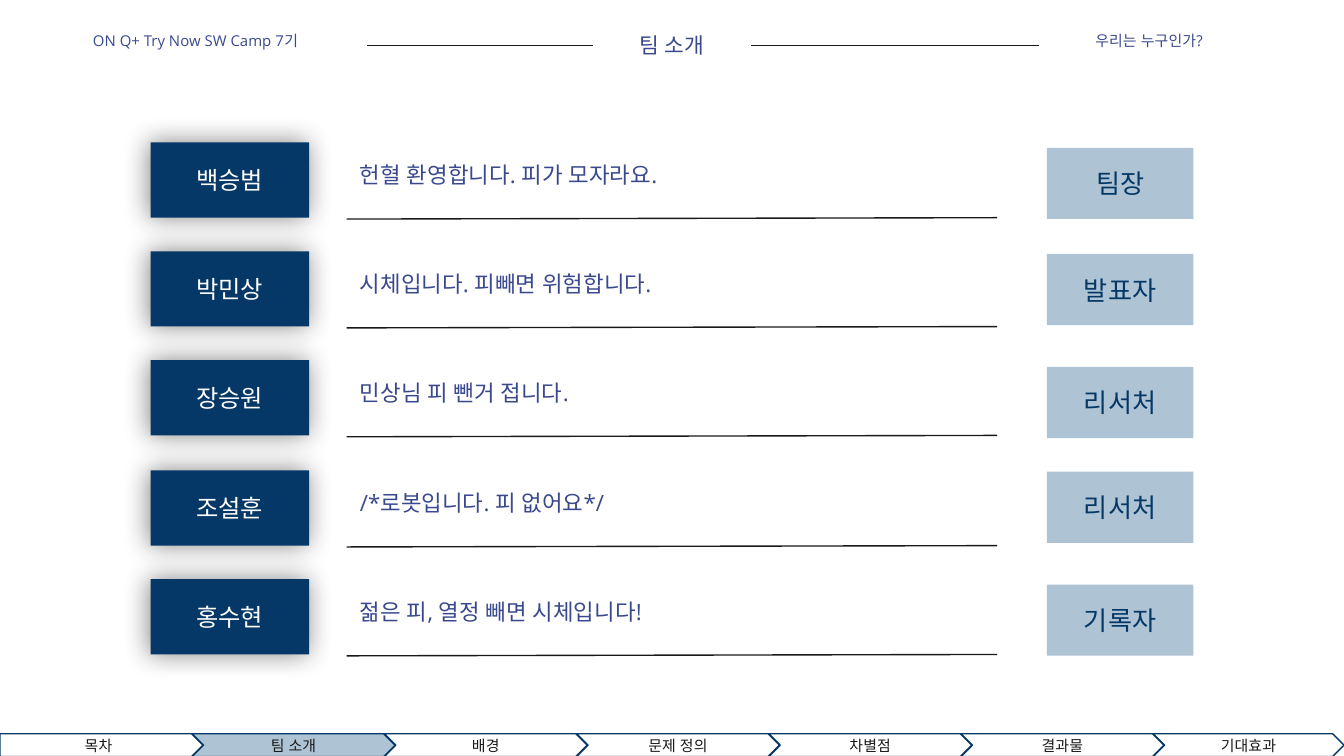
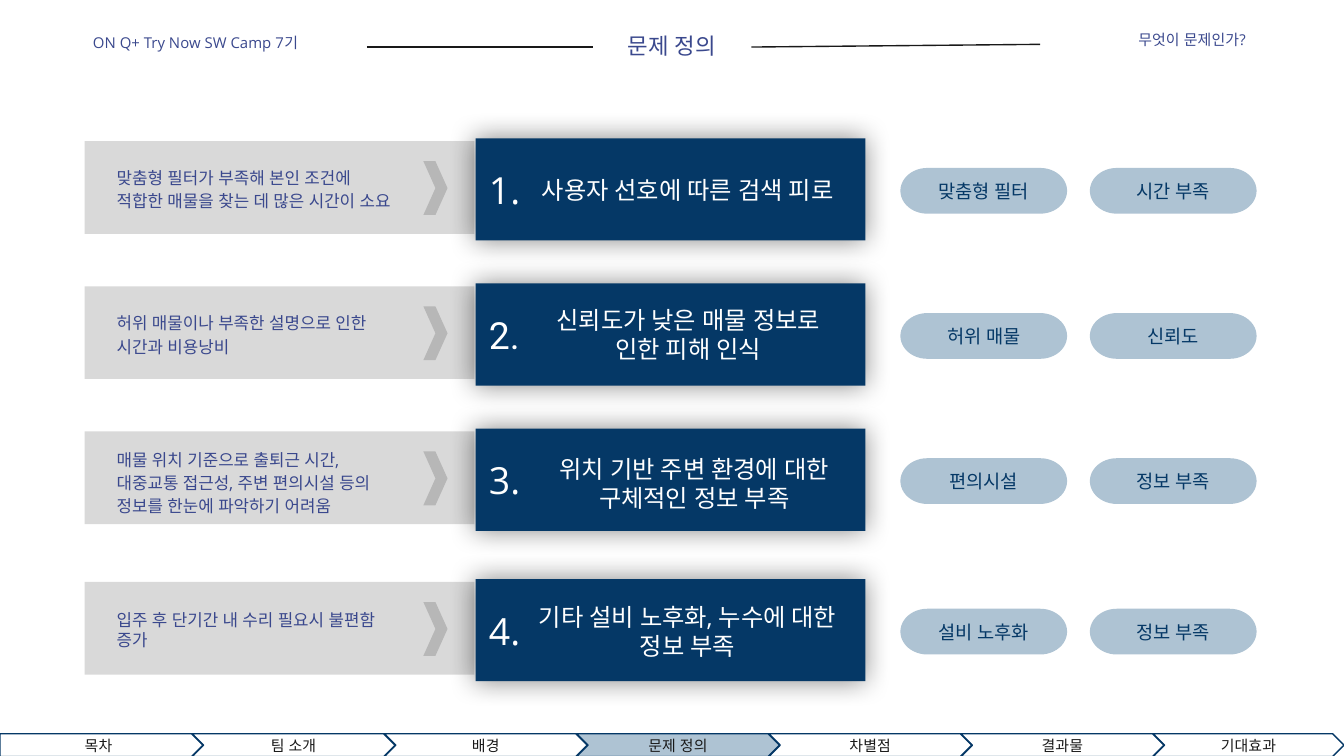
from dataclasses import dataclass

from lxml.etree import SubElement
from pptx import Presentation
from pptx.dml.color import RGBColor
from pptx.enum.shapes import MSO_CONNECTOR, MSO_SHAPE
from pptx.enum.text import MSO_ANCHOR, MSO_AUTO_SIZE, PP_ALIGN
from pptx.oxml.ns import qn
from pptx.util import Emu, Inches, Pt

PX = 9144
SLIDE_W = 1000
INSET = 10


@dataclass(frozen=True)
class Theme:
    navy: str = "053866"
    sky: str = "AEC3D3"
    indigo: str = "3A488D"
    ink: str = "191919"
    white: str = "FFFFFF"
    panel: str = "D9D9D9"
    arrow: str = "B7B7B7"
    font: str = "Open Sans"
    number_font: str = "Roboto"
    small: float = 8
    caption: float = 9
    tag: float = 10
    compact_title: float = 11.5
    body: float = 12
    heading: float = 13
    role: float = 14
    number: float = 20
    rule: float = 0.75


THEME = Theme()
CAMP = "ON Q+ Try Now SW Camp 7기"
SECTIONS = ["목차", "팀 소개", "배경", "문제 정의", "차별점", "결과물", "기대효과"]

MEMBERS = [
    ("백승범", "헌혈 환영합니다. 피가 모자라요.", "팀장", 110),
    ("박민상", "시체입니다. 피빼면 위험합니다.", "발표자", 189),
    ("장승원", "민상님 피 뺀거 접니다.", "리서처", 273),
    ("조설훈", "/*로봇입니다. 피 없어요*/", "리서처", 351),
    ("홍수현", "젊은 피, 열정 빼면 시체입니다!", "기록자", 435),
]


@dataclass(frozen=True)
class Problem:
    top: int
    cause: str
    cause_box: tuple
    heading: str
    heading_box: tuple
    tags: tuple
    number_font: str = THEME.font
    anchor: MSO_ANCHOR = MSO_ANCHOR.MIDDLE
    spacing: float = 1.15


PROBLEMS = [
    Problem(103, "맞춤형 필터가 부족해 본인 조건에 적합한 매물을 찾는 데 많은 시간이 소요",
            (77, 108, 228, 64), "사용자 선호에 따른 검색 피로",
            (391, 120, 241, 42), ("맞춤형 필터", "시간 부족")),
    Problem(211, "허위 매물이나 부족한 설명으로 인한 시간과 비용낭비",
            (77, 216, 220, 64), "신뢰도가 낮은 매물 정보로 인한 피해 인식",
            (395, 217, 234, 64), ("허위 매물", "신뢰도"),
            number_font=THEME.number_font),
    Problem(319, "매물 위치 기준으로 출퇴근 시간, 대중교통 접근성, 주변 편의시설 등의 정보를 한눈에 파악하기 어려움",
            (77, 322, 220, 69), "위치 기반 주변 환경에 대한 구체적인 정보 부족",
            (396, 328, 241, 64), ("편의시설", "정보 부족"),
            anchor=MSO_ANCHOR.TOP),
    Problem(431, "입주 후 단기간 내 수리 필요시 불편함 증가",
            (77, 442, 220, 53), "기타 설비 노후화, 누수에 대한 정보 부족",
            (391, 438, 241, 64), ("설비 노후화", "정보 부족"),
            spacing=1.0),
]


def px(n):
    return Emu(n * PX)


class Deck:
    def __init__(self, theme):
        self.theme = theme
        self.prs = Presentation()
        self.prs.slide_width = px(SLIDE_W)
        self.prs.slide_height = Inches(5.625)
        self.s = None

    def new_slide(self):
        self.s = self.prs.slides.add_slide(self.prs.slide_layouts[6])

    def label(self, sp, text, size, color, align=PP_ALIGN.CENTER,
              anchor=MSO_ANCHOR.MIDDLE, font=None, spacing=None):
        tf = sp.text_frame
        tf.word_wrap = True
        tf.vertical_anchor = anchor
        tf.margin_left = tf.margin_right = px(INSET)
        tf.margin_top = tf.margin_bottom = px(INSET)
        p = tf.paragraphs[0]
        p.alignment = align
        p.line_spacing = spacing
        r = p.add_run()
        r.text = text
        r.font.size = Pt(size)
        r.font.color.rgb = RGBColor.from_string(color)
        r.font.name = font or self.theme.font
        for tag in ("a:ea", "a:cs"):
            SubElement(r.font._element, qn(tag)).set("typeface", r.font.name)

    def text(self, box, text, size, color, grow=False, anchor=MSO_ANCHOR.TOP, **style):
        sp = self.s.shapes.add_textbox(*map(px, box))
        self.label(sp, text, size, color, anchor=anchor, **style)
        if grow:
            sp.text_frame.auto_size = MSO_AUTO_SIZE.SHAPE_TO_FIT_TEXT

    def shape(self, kind, box, fill=None, line=None):
        sp = self.s.shapes.add_shape(kind, *map(px, box))
        if fill:
            sp.fill.solid()
            sp.fill.fore_color.rgb = RGBColor.from_string(fill)
        else:
            sp.fill.background()
        if line:
            sp.line.color.rgb = RGBColor.from_string(line)
            sp.line.width = Pt(self.theme.rule)
        else:
            sp.line.fill.background()
        sp.shadow.inherit = False
        return sp

    def glow_card(self, box, text, size, **style):
        sp = self.shape(MSO_SHAPE.RECTANGLE, box, self.theme.navy)
        effects = sp._element.spPr.find(qn("a:effectLst"))
        shadow = SubElement(effects, qn("a:outerShdw"), blurRad=str(Pt(14.6)),
                            dist=str(Pt(0.8)), dir=str(186 * 60000),
                            algn="bl", rotWithShape="0")
        color = SubElement(shadow, qn("a:srgbClr"), val="000000")
        SubElement(color, qn("a:alpha"), val="47000")
        self.label(sp, text, size, self.theme.white, **style)

    def badge(self, kind, box, text, size):
        sp = self.shape(kind, box, self.theme.sky)
        self.label(sp, text, size, self.theme.navy)

    def rule(self, x1, y1, x2, y2):
        cx = self.s.shapes.add_connector(MSO_CONNECTOR.STRAIGHT, *map(px, (x1, y1, x2, y2)))
        cx.line.color.rgb = RGBColor.from_string(self.theme.ink)
        cx.line.width = Pt(self.theme.rule)
        SubElement(cx._element.spPr, qn("a:effectLst"))

    def header(self, title, title_size, camp_top, tagline, tagline_box, rule_y, rule_end):
        t = self.theme
        self.text((18, camp_top, 255, 34), CAMP, t.small, t.indigo, grow=True)
        self.text((441, 14, 118, 40), title, title_size, t.indigo, grow=True)
        self.text(tagline_box, tagline, t.small, t.indigo, grow=True)
        self.rule(273, rule_y, 441, rule_y)
        self.rule(559, rule_y, *rule_end)

    def nav(self, current):
        t = self.theme
        for i, name in enumerate(SECTIONS):
            x = 143 * i
            kind = MSO_SHAPE.CHEVRON if i else MSO_SHAPE.PENTAGON
            box = (x, 546, min(151, SLIDE_W - x), 17)
            sp = self.shape(kind, box, t.sky if name == current else None, t.navy)
            self.label(sp, name, t.small, t.ink)


def team_slide(deck):
    t = deck.theme
    title = "팀 소개"
    deck.new_slide()
    deck.header(title, t.compact_title, 17, "우리는 누구인가?",
                (773, 17, 164, 34), 34, (773, 34))
    for i, (name, quote, role, role_top) in enumerate(MEMBERS):
        top = round(106 + 81.25 * i)
        deck.glow_card((112, top, 118, 56), name, t.heading)
        deck.rule(258, top + 57, 742, top + 56)
        deck.text((258, top + 4, 484, 53), quote, t.body, t.indigo, align=PP_ALIGN.LEFT)
        deck.badge(MSO_SHAPE.RECTANGLE, (779, role_top, 109, 53), role, t.role)
    deck.nav(title)


def problem_slide(deck):
    t = deck.theme
    title = "문제 정의"
    deck.new_slide()
    deck.header(title, t.body, 18, "무엇이 문제인가?",
                (774, 16, 226, 34), 35, (774, 33))
    for n, row in enumerate(PROBLEMS, 1):
        deck.shape(MSO_SHAPE.RECTANGLE, (63, row.top + 2, 290, 69), t.panel)
        deck.shape(MSO_SHAPE.CHEVRON, (315, row.top + 17, 18, 40), t.arrow)
        deck.glow_card((354, row.top, 290, 76), f"{n}.", t.number,
                       align=PP_ALIGN.LEFT, font=row.number_font)
        deck.text(row.cause_box, row.cause, t.caption, t.indigo, align=PP_ALIGN.LEFT,
                  anchor=row.anchor, spacing=row.spacing)
        deck.text(row.heading_box, row.heading, t.heading, t.white, grow=True)
        for i, tag in enumerate(row.tags):
            deck.badge(MSO_SHAPE.FLOWCHART_TERMINATOR,
                       (670 + 141 * i, row.top + 22, 124, 34), tag, t.tag)
    deck.nav(title)


def main():
    deck = Deck(THEME)
    team_slide(deck)
    problem_slide(deck)
    deck.prs.save("out.pptx")


if __name__ == "__main__":
    main()
